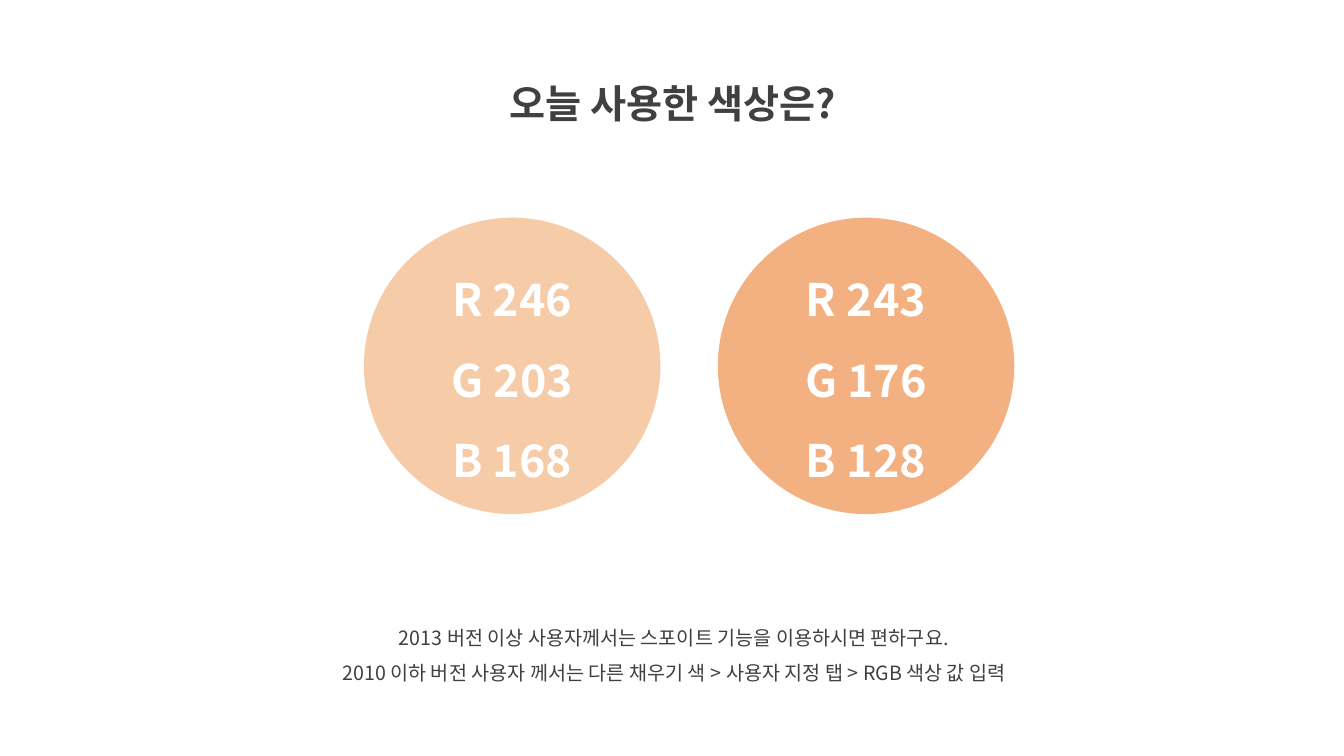
"""Build a slide that names the two colours used today."""
import pptx
import pptx.dml.color
import pptx.enum.shapes
import pptx.enum.text
import pptx.oxml.ns
import pptx.util
from lxml import etree

Inches = pptx.util.Inches
FONT = "Noto Sans CJK KR"


def color(hex_text):
    return pptx.dml.color.RGBColor.from_string(hex_text)


def write_lines(shape, lines, size, font_color, bold):
    frame = shape.text_frame
    frame.word_wrap = True
    frame.text = "\n".join(lines)
    for para in frame.paragraphs:
        para.alignment = pptx.enum.text.PP_ALIGN.CENTER
        para.line_spacing = 1.5
        for span in para.runs:
            span.font.size = pptx.util.Pt(size)
            span.font.bold = bold
            span.font.name = FONT
            span.font.color.rgb = color(font_color)
            east_asian = etree.SubElement(span.font._element, pptx.oxml.ns.qn("a:ea"))
            east_asian.set("typeface", FONT)


deck = pptx.Presentation()
deck.slide_width = Inches(13.33)
deck.slide_height = Inches(7.5)
page = deck.slides.add_slide(deck.slide_layouts[6])

guide = [
    "2013 버전 이상 사용자께서는 스포이트 기능을 이용하시면 편하구요.",
    "2010 이하 버전 사용자 께서는 다른 채우기 색 > 사용자 지정 탭 > RGB 색상 값 입력",
]
texts = [
    (4.36, 0.5, 4.63, 0.72, ["오늘 사용한 색상은?"], 28, True),
    (2.69, 6.04, 7.99, 0.81, guide, 14, False),
]
for left, top, width, height, lines, size, bold in texts:
    box = page.shapes.add_textbox(Inches(left), Inches(top), Inches(width), Inches(height))
    write_lines(box, lines, size, "404040", bold)
    box.text_frame.auto_size = pptx.enum.text.MSO_AUTO_SIZE.SHAPE_TO_FIT_TEXT

swatches = [(3.61, "F6CBA8"), (7.12, "F3B080")]
for left, fill in swatches:
    circle = page.shapes.add_shape(
        pptx.enum.shapes.MSO_SHAPE.OVAL,
        Inches(left), Inches(2.16), Inches(2.94), Inches(2.94),
    )
    circle.shadow.inherit = False
    circle.fill.solid()
    circle.fill.fore_color.rgb = color(fill)
    circle.line.fill.background()
    circle.text_frame.vertical_anchor = pptx.enum.text.MSO_ANCHOR.MIDDLE
    channels = [f"{name} {value}" for name, value in zip("RGB", color(fill))]
    write_lines(circle, channels, 32, "FFFFFF", True)

deck.save("out.pptx")
